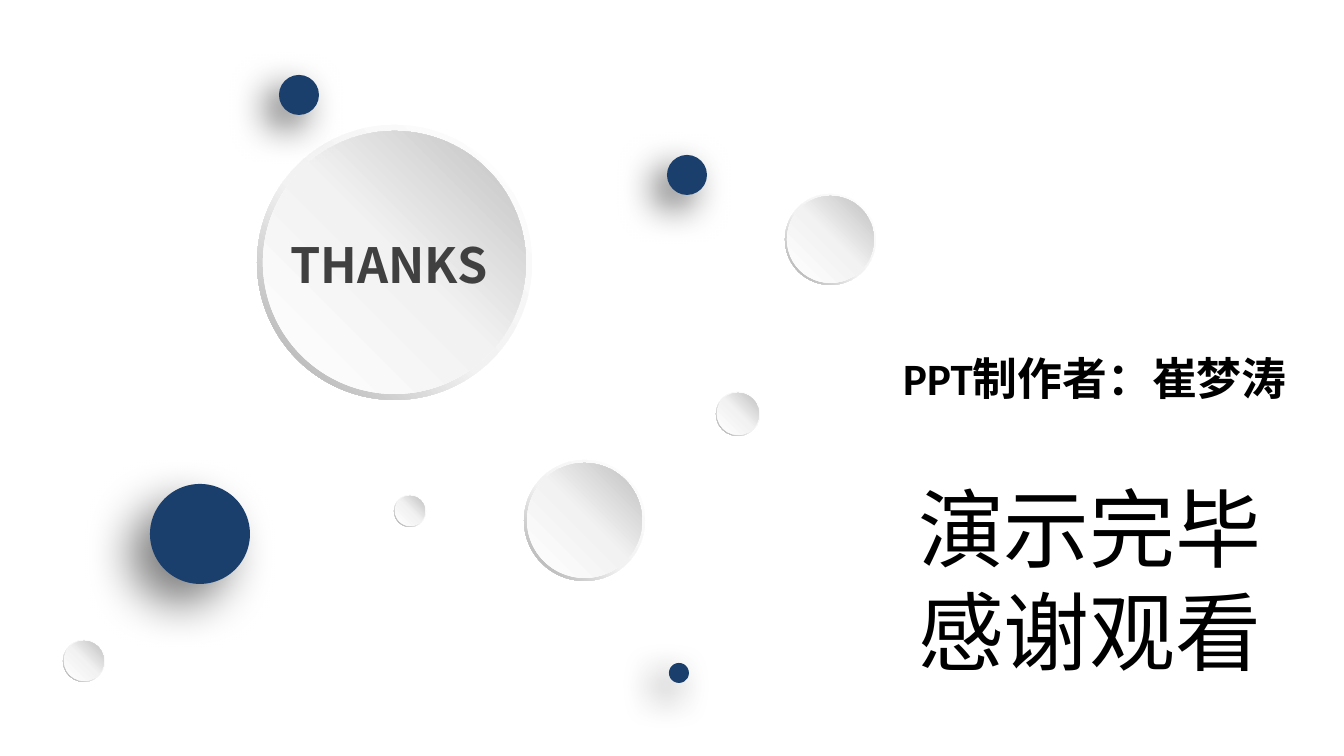
"""Build the closing thank-you slide with paper discs and blue dots."""
from lxml import etree
from pptx import Presentation
from pptx.dml.color import RGBColor
from pptx.enum.shapes import MSO_SHAPE as SHAPE
from pptx.enum.text import MSO_AUTO_SIZE as AUTO
from pptx.oxml import parse_xml
from pptx.oxml.ns import nsdecls, qn
from pptx.util import Emu, Pt

PX = 914400 / 134.4
FONT = "Noto Sans CJK SC"
NS = nsdecls("a")


def box(*lengths):
    return [Emu(round(n * PX)) for n in lengths]


def add_text(text, at, size, color="000000", bold=False, font=FONT):
    s = slide.shapes.add_textbox(*box(*at))
    tf = s.text_frame
    tf.word_wrap = True
    tf.auto_size = AUTO.SHAPE_TO_FIT_TEXT
    for i, line in enumerate(text.split("\n")):
        p = tf.add_paragraph() if i else tf.paragraphs[0]
        r = p.add_run()
        r.text = line
        r.font.size = Pt(size)
        r.font.bold = bold
        r.font.name = font
        r.font.color.rgb = RGBColor.from_string(color)
        etree.SubElement(r.font._element, qn("a:ea")).set("typeface", FONT)


prs = Presentation()
prs.slide_width, prs.slide_height = box(1344, 756)
slide = prs.slides.add_slide(prs.slide_layouts[6])

discs = [(257, 125, 275), (716, 392, 44), (785, 194, 91),
         (394, 495, 32), (63, 640, 42), (524, 460, 121)]
for x, y, d in discs:
    group = slide.shapes.add_group_shape()
    inset = round(d * 0.0225)
    inner = (x + inset, y + inset, d - 2 * inset)
    for kind, (left, top, size), middle, dark, angle in [
            (SHAPE.DONUT, (x, y, d), 55, "A6A6A6", 135),
            (SHAPE.OVAL, inner, 51, "BFBFBF", 315)]:
        s = group.shapes.add_shape(kind, *box(left, top, size, size))
        if kind == SHAPE.DONUT:
            s.adjustments[0] = 0.049
        s.shadow.inherit = False
        s.line.fill.background()
        stops = "".join(
            f'<a:gs pos="{pos * 1000}"><a:srgbClr val="{color}"/></a:gs>'
            for pos, color in [(0, "FFFFFF"), (middle, "F2F2F2"), (100, dark)])
        s._element.spPr.find(qn("a:prstGeom")).addnext(parse_xml(
            f'<a:gradFill {NS} rotWithShape="1"><a:gsLst>{stops}</a:gsLst>'
            f'<a:lin ang="{angle * 60000}" scaled="0"/></a:gradFill>'))

dots = [(150, 484, 100, 50, 25, 15), (279, 75, 40, 60, 20, 10),
        (667, 155, 40, 60, 20, 10), (669, 663, 20, 60, 20, 10)]
for x, y, d, alpha, blur, dist in dots:
    s = slide.shapes.add_shape(SHAPE.OVAL, *box(x, y, d, d))
    s.fill.solid()
    s.fill.fore_color.rgb = RGBColor.from_string("1A3F6C")
    s.line.fill.background()
    s._element.spPr.append(parse_xml(
        f'<a:effectLst {NS}><a:outerShdw blurRad="{Pt(blur)}" dist="{Pt(dist)}" '
        f'dir="{135 * 60000}" algn="tr" rotWithShape="0"><a:srgbClr val="000000">'
        f'<a:alpha val="{alpha * 1000}"/></a:srgbClr></a:outerShdw></a:effectLst>'))

add_text("THANKS", (277, 228, 239, 73), 26, color="404040", bold=True)
add_text("演示完毕\n感谢观看", (905, 469, 374, 222), 46)
add_text("PPT制作者：崔梦涛", (890, 344, 439, 67), 24, bold=True, font="Calibri")

prs.save("out.pptx")
